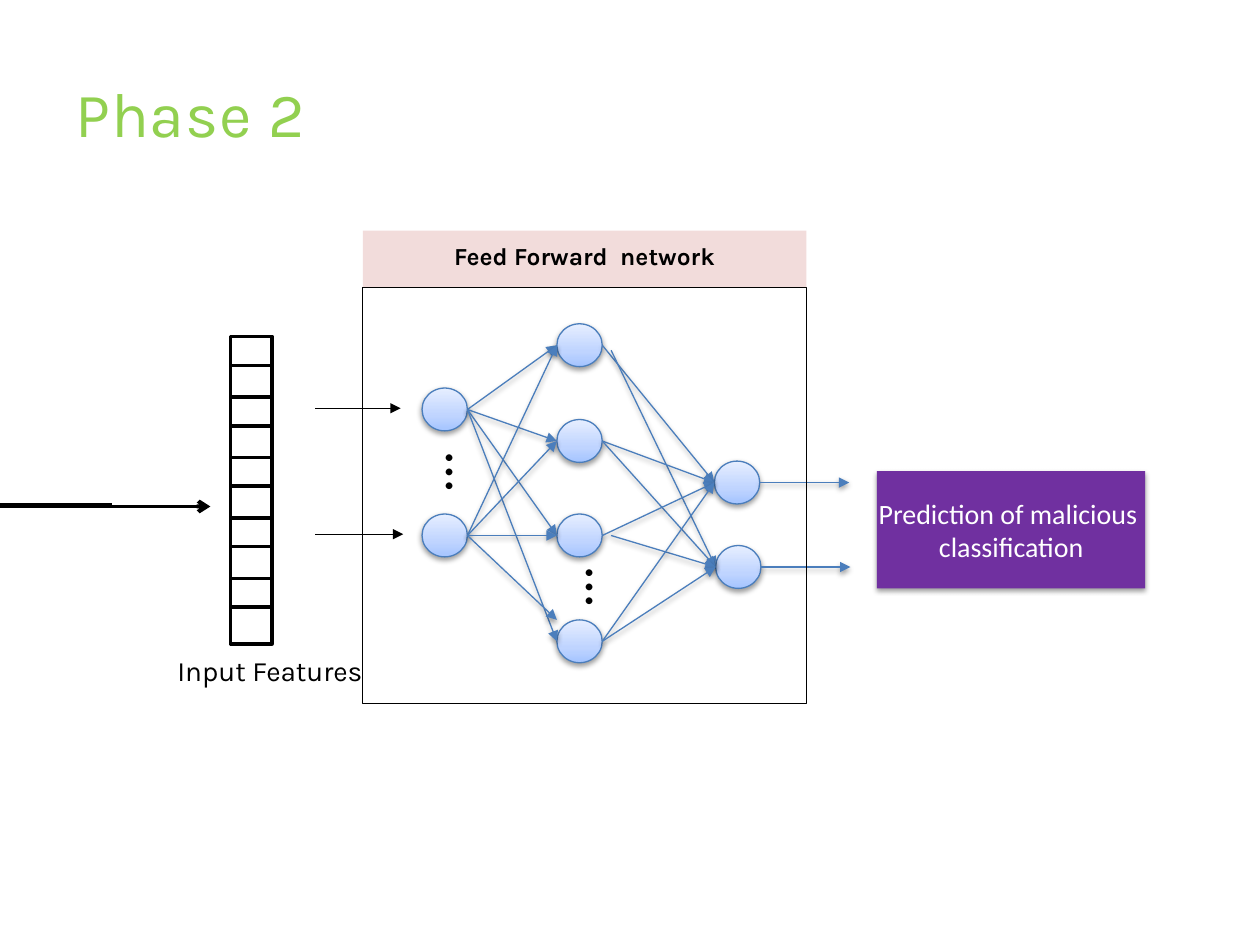
from dataclasses import dataclass
from itertools import product

from pptx import Presentation
from pptx.dml.color import RGBColor
from pptx.enum.shapes import MSO_CONNECTOR, MSO_SHAPE
from pptx.enum.text import MSO_ANCHOR, PP_ALIGN
from pptx.oxml import parse_xml
from pptx.oxml.ns import nsdecls, qn
from pptx.util import Inches, Pt


@dataclass(frozen=True)
class Theme:
    """Colours, fonts and type sizes of the slide."""
    black: str = "000000"
    white: str = "FFFFFF"
    green: str = "92D050"
    pink: str = "F2DCDB"
    purple: str = "7030A0"
    blue: str = "4B7EBC"
    node_stops: tuple = ((0, "A4C4FF"), (35, "BFD4FF"), (100, "E6EEFF"))
    heading_font: str = "Karla"
    body_font: str = "Calibri"
    title_size: int = 36
    dots_size: int = 32
    label_size: int = 16
    header_size: int = 14


THEME = Theme()
NODE_WIDTH, NODE_HEIGHT = 0.36, 0.34


def apply_format(target, values):
    """Set every attribute in a dict of format values."""
    for name, value in values.items():
        setattr(target, name, value)


def add_effects(shape, shadow):
    """Give a shape or connector a soft drop shadow, or none."""
    effects = parse_xml(f"<a:effectLst {nsdecls('a')}/>")
    if shadow:
        effects.append(parse_xml(
            f'<a:outerShdw {nsdecls("a")} blurRad="{Pt(3.1)}" dist="{Pt(1.6)}" '
            'dir="5400000" rotWithShape="0"><a:srgbClr val="000000">'
            '<a:alpha val="38000"/></a:srgbClr></a:outerShdw>'))
    shape.element.spPr.append(effects)


def add_block(slide, box, kind=MSO_SHAPE.RECTANGLE, fill=None, line=None,
              weight=0.75, stops=None, shadow=False):
    """Add a preset shape with a plain, gradient or empty fill."""
    shape = slide.shapes.add_shape(kind, *map(Inches, box))
    if stops:
        stop_xml = "".join(f'<a:gs pos="{place * 1000}"><a:srgbClr val="{color}"/></a:gs>'
                           for place, color in stops)
        shape.element.spPr.append(parse_xml(
            f'<a:gradFill {nsdecls("a")} rotWithShape="1"><a:gsLst>{stop_xml}</a:gsLst>'
            '<a:lin ang="16200000" scaled="0"/></a:gradFill>'))
    elif fill:
        shape.fill.solid()
        shape.fill.fore_color.rgb = RGBColor.from_string(fill)
    else:
        shape.fill.background()
    if line:
        shape.line.color.rgb = RGBColor.from_string(line)
        shape.line.width = Pt(weight)
    else:
        shape.line.fill.background()
    add_effects(shape, shadow)
    return shape


def add_line(slide, start, end, color=THEME.black, weight=0.75, head="triangle",
             shadow=False):
    """Add a straight line, with an arrowhead at its end if one is named."""
    connector = slide.shapes.add_connector(
        MSO_CONNECTOR.STRAIGHT, *map(Inches, (*start, *end)))
    connector.line.color.rgb = RGBColor.from_string(color)
    connector.line.width = Pt(weight)
    if head:
        connector.element.spPr.find(qn("a:ln")).append(
            parse_xml(f'<a:tailEnd {nsdecls("a")} type="{head}"/>'))
    add_effects(connector, shadow)


def write_text(shape, lines, size, font, color=THEME.black, bold=False, spacing=None,
               paragraph_format=None, **frame_format):
    """Write one paragraph per line into a shape."""
    frame = shape.text_frame
    apply_format(frame, {"word_wrap": True, **frame_format})
    for index, line in enumerate(lines):
        paragraph = frame.add_paragraph() if index else frame.paragraphs[0]
        apply_format(paragraph, {"alignment": PP_ALIGN.LEFT, **(paragraph_format or {})})
        run = paragraph.add_run()
        run.text = line
        apply_format(run.font, {"size": Pt(size), "name": font, "bold": bold})
        run.font.color.rgb = RGBColor.from_string(color)
        if spacing:
            run.font._element.set("spc", str(round(spacing * 100)))


def add_label(slide, box, text, size, font, rotation=0, **text_format):
    """Add a text box with a single line."""
    label = slide.shapes.add_textbox(*map(Inches, box))
    label.rotation = rotation
    write_text(label, [text], size, font, **text_format)


def add_features(slide, left, top):
    """Draw the incoming arrow, the feature column and its label."""
    width, cell_height, pitch = 0.33, 0.23, 0.48
    outline = {"fill": THEME.white, "line": THEME.black, "weight": 2}
    middle = top + 1.35
    add_line(slide, (0, middle), (left - 0.16, middle), weight=2.25, head="arrow")
    add_line(slide, (0, middle - 0.01), (0.89, middle - 0.01), weight=2.25, head=None)
    add_block(slide, (left, top + 0.01, width, 2.43), **outline)
    for index in range(5):
        add_block(slide, (left, top + index * pitch, width, cell_height), **outline)
    add_label(slide, (left - 0.52, top + 2.41, 1.69, 0.48), "Input Features",
              THEME.label_size, THEME.heading_font, vertical_anchor=MSO_ANCHOR.MIDDLE)


def add_network(slide, left, top):
    """Draw the layers of nodes, their links and the framed header."""
    width, header_height = 3.52, 0.45
    blue_line = {"color": THEME.blue, "shadow": True}
    inputs = [(left + 0.47, top + y) for y in (1.25, 2.25)]
    hidden = [(left + 1.54, top + y) for y in (0.74, 1.5, 2.25, 3.09)]
    outputs = [(left + 2.79, top + 1.83), (left + 2.8, top + 2.5)]
    for x, y in inputs + hidden + outputs:
        add_block(slide, (x, y, NODE_WIDTH, NODE_HEIGHT), MSO_SHAPE.OVAL,
                  line=THEME.blue, stops=THEME.node_stops, shadow=True)

    start_shift = {(hidden[0], outputs[1]): (0.07, 0.04), (hidden[2], outputs[1]): (0.07, 0)}
    end_shift = {(inputs[1], hidden[3]): -0.17}
    for link in [*product(inputs, hidden), *product(hidden, outputs)]:
        (x1, y1), (x2, y2) = link
        shift_x, shift_y = start_shift.get(link, (0, 0))
        add_line(slide,
                 (x1 + NODE_WIDTH + shift_x, y1 + NODE_HEIGHT / 2 + shift_y),
                 (x2, y2 + NODE_HEIGHT / 2 + end_shift.get(link, 0)), **blue_line)
    for x, y in outputs:
        middle = y + NODE_HEIGHT / 2
        add_line(slide, (x + NODE_WIDTH, middle), (x + NODE_WIDTH + 0.71, middle), **blue_line)
    for (x, y), length in zip(inputs, (0.68, 0.7)):
        middle = y + NODE_HEIGHT / 2 - 0.01
        add_line(slide, (left - 0.38, middle), (left - 0.38 + length, middle))
    for x, y in ((0.27, 1.58), (1.38, 2.5)):
        add_label(slide, (left + x, top + y, 0.53, 0.64), "…",
                  THEME.dots_size, THEME.body_font, rotation=270)

    header = add_block(slide, (left, top, width, header_height), fill=THEME.pink)
    write_text(header, ["Feed Forward  network"], THEME.header_size, THEME.heading_font,
               bold=True, vertical_anchor=MSO_ANCHOR.TOP,
               paragraph_format={"alignment": PP_ALIGN.CENTER, "line_spacing": 1.15,
                                 "space_after": Pt(10)})
    add_block(slide, (left, top + header_height, width, 3.3), line=THEME.black, weight=0.5)


def add_prediction(slide, left, top):
    """Draw the result box."""
    result = add_block(slide, (left, top, 2.13, 0.93), fill=THEME.purple, shadow=True)
    write_text(result, ["Prediction of malicious ", "classification"], THEME.label_size,
               THEME.body_font, color=THEME.white, word_wrap=False,
               vertical_anchor=MSO_ANCHOR.MIDDLE,
               paragraph_format={"alignment": PP_ALIGN.CENTER})


def build_slide(presentation):
    """Lay out the whole slide."""
    slide = presentation.slides.add_slide(presentation.slide_layouts[6])
    add_features(slide, 1.83, 2.67)
    add_network(slide, 2.88, 1.83)
    add_prediction(slide, 6.96, 3.74)
    add_label(slide, (0.5, 0.5, 9, 0.83), "Phase 2", THEME.title_size, THEME.heading_font,
              color=THEME.green, spacing=0.5, margin_top=Inches(0.09))


presentation = Presentation()
apply_format(presentation, {"slide_width": Inches(10), "slide_height": Inches(7.5)})
build_slide(presentation)
presentation.save("out.pptx")
